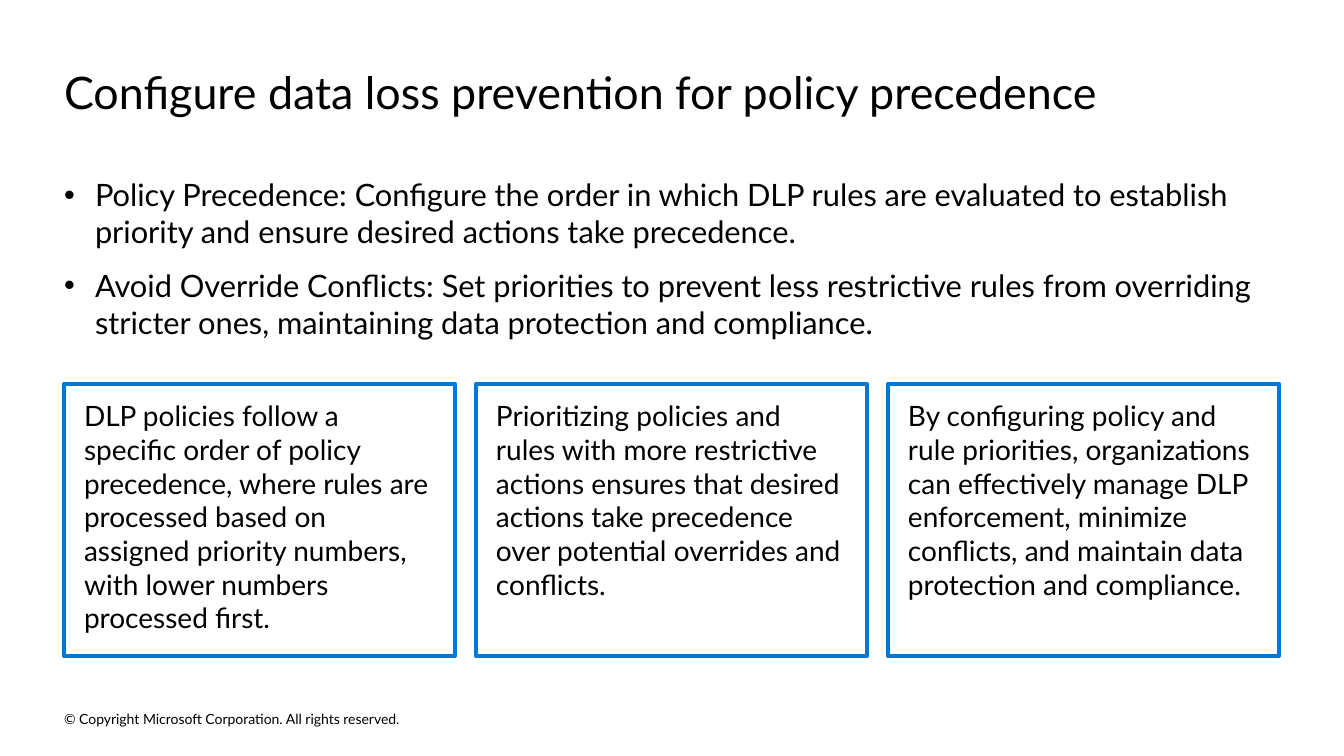
from lxml import etree
from pptx import Presentation, util as u
from pptx.dml.color import RGBColor
from pptx.enum import shapes, text
from pptx.oxml.ns import qn

PX = 914400 / 100.8
COLORS = {"ink": "000000", "border": "0078D4", "paper": "FFFFFF"}
LEFT, WIDTH = 64, 1214
CARD_WIDTH, CARD_PITCH = 391, 412

BULLETS = [
    "Policy Precedence: Configure the order in which DLP rules are evaluated to establish priority and ensure desired actions take precedence.",
    "Avoid Override Conflicts: Set priorities to prevent less restrictive rules from overriding stricter ones, maintaining data protection and compliance.",
]
CARDS = [
    "DLP policies follow a specific order of policy precedence, where rules are processed based on assigned priority numbers, with lower numbers processed first.",
    "Prioritizing policies and rules with more restrictive actions ensures that desired actions take precedence over potential overrides and conflicts.",
    "By configuring policy and rule priorities, organizations can effectively manage DLP enforcement, minimize conflicts, and maintain data protection and compliance.",
]


def px(*values):
    return [u.Emu(round(value * PX)) for value in values]


def write(box, lines, size, margins=(0, 0, 0, 0), anchor="TOP", after=0, bullet=False):
    frame = box.text_frame
    left, top, right, bottom = px(*margins)
    layout = {
        "word_wrap": True,
        "auto_size": text.MSO_AUTO_SIZE.NONE,
        "vertical_anchor": text.MSO_ANCHOR[anchor],
        "margin_left": left,
        "margin_top": top,
        "margin_right": right,
        "margin_bottom": bottom,
    }
    for name, value in layout.items():
        setattr(frame, name, value)
    for index, line in enumerate(lines):
        para = frame.paragraphs[0] if index == 0 else frame.add_paragraph()
        para.alignment = text.PP_ALIGN.LEFT
        para.space_after = u.Pt(after)
        if bullet:
            props = para._p.get_or_add_pPr()
            indent = px(31)[0]
            props.set("marL", str(indent))
            props.set("indent", str(-indent))
            etree.SubElement(props, qn("a:buFont")).set("typeface", "Arial")
            etree.SubElement(props, qn("a:buChar")).set("char", "•")
        span = para.add_run()
        span.text = line
        span.font.name = "Lato"
        span.font.size = u.Pt(size)
        span.font.color.rgb = RGBColor.from_string(COLORS["ink"])


deck = Presentation()
deck.slide_width, deck.slide_height = px(1344, 756)
page = deck.slides.add_slide(deck.slide_layouts[5])
page.background.fill.solid()
page.background.fill.fore_color.rgb = RGBColor.from_string(COLORS["paper"])

title = page.shapes.title
title.left, title.top, title.width, title.height = px(LEFT, 65, WIDTH, 54)
write(title, ["Configure data loss prevention for policy precedence"], 32)

summary = page.shapes.add_textbox(*px(LEFT, 176, WIDTH, 166))
write(summary, BULLETS, 22, after=12, bullet=True)

for column, message in enumerate(CARDS):
    card = page.shapes.add_shape(
        shapes.MSO_SHAPE.RECTANGLE,
        *px(LEFT + column * CARD_PITCH, 384, CARD_WIDTH, 272),
    )
    card.shadow.inherit = False
    card.fill.background()
    card.line.color.rgb = RGBColor.from_string(COLORS["border"])
    card.line.width = u.Pt(3)
    write(card, [message], 20, margins=(20, 15, 20, 10), after=4)

copyright_line = page.shapes.add_textbox(*px(LEFT, 708, 458, 22))
write(copyright_line, ["© Copyright Microsoft Corporation. All rights reserved."], 10, anchor="MIDDLE")

deck.save("out.pptx")
